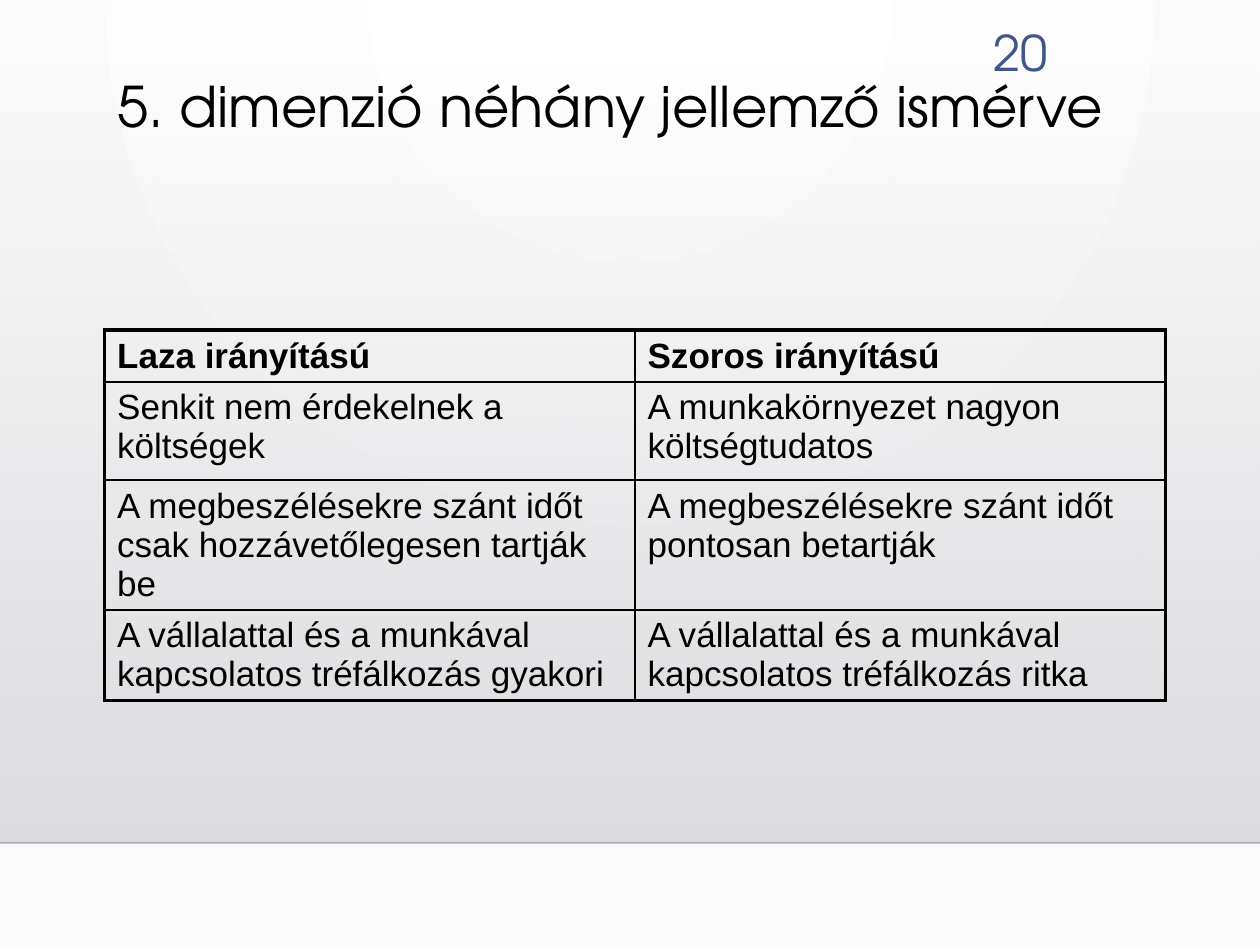
import lxml.etree
import pptx
import pptx.dml.color
import pptx.enum.shapes
import pptx.enum.text
import pptx.oxml
import pptx.oxml.ns
import pptx.util
from pptx.util import Inches

TITLE = "5. dimenzió néhány jellemző ismérve"
PAGE_NUMBER = "20"
ROWS = [
    ("Laza irányítású", "Szoros irányítású"),
    ("Senkit nem érdekelnek a költségek",
     "A munkakörnyezet nagyon költségtudatos"),
    ("A megbeszélésekre szánt időt csak hozzávetőlegesen tartják be",
     "A megbeszélésekre szánt időt pontosan betartják"),
    ("A vállalattal és a munkával kapcsolatos tréfálkozás gyakori",
     "A vállalattal és a munkával kapcsolatos tréfálkozás ritka"),
]
ROW_HEIGHTS = [0.41, 0.78, 1.03, 0.72]
COLUMN_WIDTH = 4.21
LEFT = 0.83
FLOOR = 6.69
HEADING_FONT = "TeX Gyre Adventor"
OUTER_BORDER, INNER_BORDER = 2.25, 1
NAMESPACE = pptx.oxml.ns.nsdecls("a")
LINEAR = '<a:lin ang="5400000" scaled="0"/>'
CIRCLE = ('<a:path path="circle">'
          '<a:fillToRect l="43000" t="0" r="43000" b="100000"/></a:path>')


def rgb(value):
    """Turn a hex string into a colour."""
    return pptx.dml.color.RGBColor.from_string(value)


def style(paragraph, name, size, color, bold=False):
    """Set the font of a paragraph."""
    font = paragraph.font
    font.name, font.size, font.bold = name, pptx.util.Pt(size), bold
    font.color.rgb = rgb(color)


def set_gradient(fill, element, stops, direction):
    """Give a fill a gradient of (percent, colour, opacity) stops."""
    fill.gradient()
    old = element.find(".//" + pptx.oxml.ns.qn("a:gradFill"))
    stop_xml = "".join(
        f'<a:gs pos="{percent * 1000}"><a:srgbClr val="{color}">'
        f'<a:alpha val="{opacity * 1000}"/></a:srgbClr></a:gs>'
        for percent, color, opacity in stops)
    new = pptx.oxml.parse_xml(
        f'<a:gradFill {NAMESPACE} rotWithShape="1">'
        f'<a:gsLst>{stop_xml}</a:gsLst>{direction}</a:gradFill>')
    old.getparent().replace(old, new)


def set_borders(cell, widths):
    """Draw black cell borders; widths maps side tags to points."""
    properties = cell._tc.get_or_add_tcPr()
    for position, (side, width) in enumerate(widths.items()):
        properties.insert(position, pptx.oxml.parse_xml(
            f'<a:{side} {NAMESPACE} w="{int(pptx.util.Pt(width))}"><a:solidFill>'
            f'<a:srgbClr val="000000"/></a:solidFill></a:{side}>'))


def add_backdrop(slide):
    """Add the background, the shaded area and its lower edge."""
    set_gradient(slide.background.fill, slide.element,
                 [(0, "FFFFFF", 100), (100, "FAFAFA", 100)], CIRCLE)
    shade = slide.shapes.add_shape(
        pptx.enum.shapes.MSO_SHAPE.RECTANGLE,
        0, Inches(0.51), Inches(10), Inches(FLOOR - 0.51))
    shade.shadow.inherit = False
    shade.line.fill.background()
    set_gradient(shade.fill, shade.element,
                 [(0, "DCDCE0", 0), (100, "DEDEE2", 100)], LINEAR)
    edge = slide.shapes.add_connector(
        pptx.enum.shapes.MSO_CONNECTOR.STRAIGHT,
        0, Inches(FLOOR), Inches(10), Inches(FLOOR))
    edge.line.width = pptx.util.Pt(1)
    edge.line.color.rgb = rgb("000001")
    color = edge.element.find(".//" + pptx.oxml.ns.qn("a:srgbClr"))
    lxml.etree.SubElement(color, pptx.oxml.ns.qn("a:alpha"), val="20000")
    lxml.etree.SubElement(edge.element.spPr, pptx.oxml.ns.qn("a:effectLst"))


def add_headings(slide):
    """Fill the title and add the page number."""
    number = slide.shapes.add_textbox(
        Inches(7.54), Inches(0.14), Inches(0.87), Inches(0.55))
    number.text_frame.word_wrap = True
    number.text_frame.vertical_anchor = pptx.enum.text.MSO_ANCHOR.MIDDLE
    paragraph = number.text_frame.paragraphs[0]
    paragraph.text = PAGE_NUMBER
    paragraph.alignment = pptx.enum.text.PP_ALIGN.RIGHT
    style(paragraph, HEADING_FONT, 28, "415588")

    title = slide.shapes.title
    title.left, title.top = Inches(LEFT), Inches(0.58)
    title.width, title.height = Inches(2 * COLUMN_WIDTH), Inches(0.92)
    title.text_frame.vertical_anchor = pptx.enum.text.MSO_ANCHOR.TOP
    paragraph = title.text_frame.paragraphs[0]
    paragraph.text = TITLE
    paragraph.alignment = pptx.enum.text.PP_ALIGN.LEFT
    paragraph.line_spacing = 0.9
    style(paragraph, HEADING_FONT, 32, "000000")


def add_comparison(slide):
    """Add the table with a heavy outer frame."""
    last_row, last_column = len(ROWS) - 1, len(ROWS[0]) - 1
    table = slide.shapes.add_table(
        len(ROWS), len(ROWS[0]), Inches(LEFT), Inches(2.62),
        Inches(2 * COLUMN_WIDTH), Inches(sum(ROW_HEIGHTS))).table
    table.horz_banding = False
    for column in table.columns:
        column.width = Inches(COLUMN_WIDTH)
    for row_index, texts in enumerate(ROWS):
        table.rows[row_index].height = Inches(ROW_HEIGHTS[row_index])
        for column_index, text in enumerate(texts):
            cell = table.cell(row_index, column_index)
            cell.fill.background()
            paragraph = cell.text_frame.paragraphs[0]
            paragraph.text = text
            style(paragraph, "Arial", 20, "000000", bold=row_index == 0)
            outer_sides = {"lnL": column_index == 0,
                           "lnR": column_index == last_column,
                           "lnT": row_index == 0,
                           "lnB": row_index == last_row}
            set_borders(cell, {
                side: OUTER_BORDER if outer else INNER_BORDER
                for side, outer in outer_sides.items()})


presentation = pptx.Presentation()
presentation.slide_width, presentation.slide_height = Inches(10), Inches(7.5)
slide = presentation.slides.add_slide(presentation.slide_layouts[5])
add_backdrop(slide)
add_headings(slide)
# Keep the title in front of the shaded area.
slide.shapes.element.append(slide.shapes.title.element)
add_comparison(slide)
presentation.save("out.pptx")
